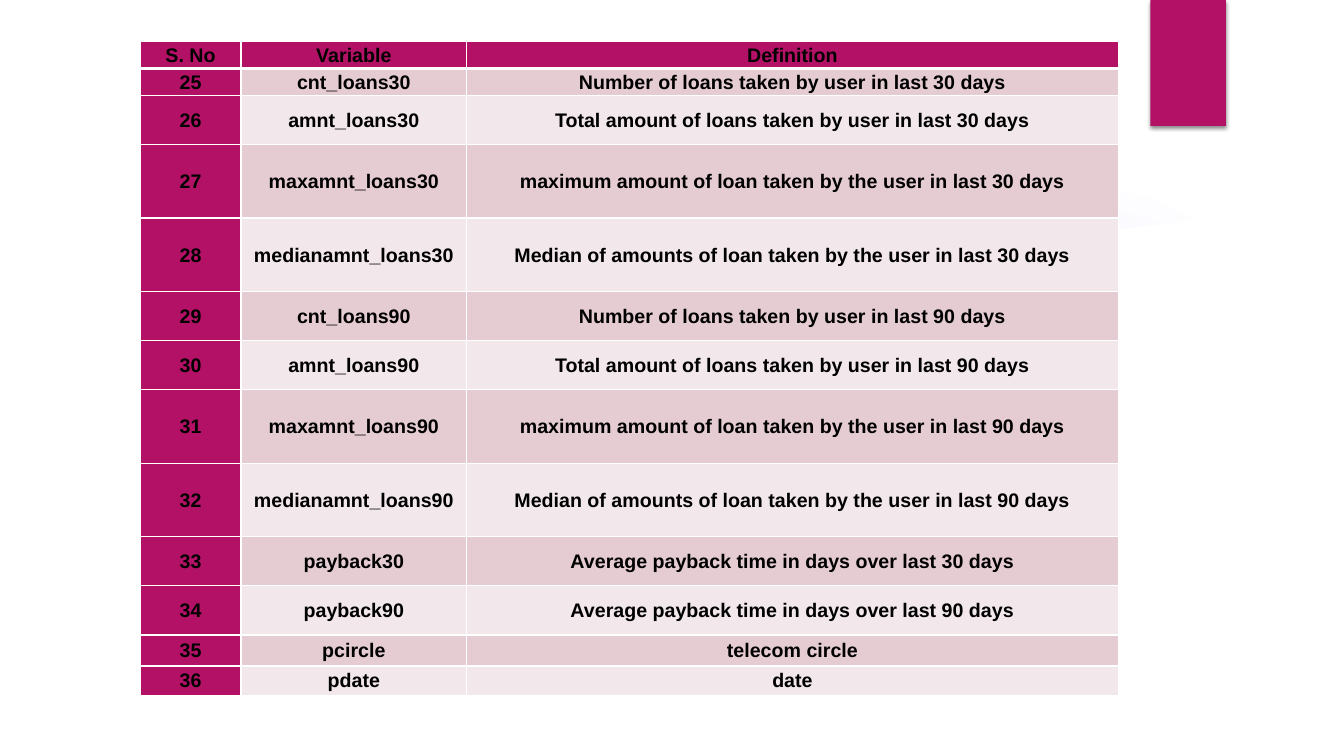
import pptx
import pptx.util
import pptx.oxml
import pptx.dml.color
import pptx.enum.shapes
import pptx.enum.text

Inches = pptx.util.Inches
RGB = pptx.dml.color.RGBColor
SHAPE = pptx.enum.shapes.MSO_SHAPE
PINK = RGB(0xB3, 0x11, 0x66)
ROSE = RGB(0xE5, 0xCC, 0xD3)
PALE = RGB(0xF2, 0xE7, 0xEA)
WHITE = RGB(0xFF, 0xFF, 0xFF)
BLACK = RGB(0, 0, 0)
URI = "http://schemas.openxmlformats.org/drawingml/2006/main"
NS = f'xmlns:a="{URI}"'


def paint(shape, color):
    """Plain fill without line or shadow."""
    shape.shadow.inherit = False
    shape.fill.solid()
    shape.fill.fore_color.rgb = color
    shape.line.fill.background()


def border(cell, sides):
    """Add white lines, given as side and width in points."""
    props = cell._tc.get_or_add_tcPr()
    for place, (side, width) in enumerate(sides):
        props.insert(place, pptx.oxml.parse_xml(
            f'<a:ln{side} {NS} w="{pptx.util.Pt(width)}"><a:solidFill>'
            f'<a:srgbClr val="FFFFFF"/></a:solidFill></a:ln{side}>'))


deck = pptx.Presentation()
deck.slide_width = Inches(13.33)
deck.slide_height = Inches(7.5)
slide = deck.slides.add_slide(deck.slide_layouts[6])

# Round glow that fades out to its edge
glow = slide.shapes.add_shape(SHAPE.OVAL, Inches(9.41), Inches(1.83),
                              Inches(3.08), Inches(3.08))
paint(glow, WHITE)
stops = "".join(
    f'<a:gs pos="{pos}000"><a:srgbClr val="9B6BF2"><a:alpha val="{alpha}000"/>'
    '</a:srgbClr></a:gs>' for pos, alpha in ((0, 7), (36, 6), (69, 0)))
solid = glow._element.spPr.find(f"{{{URI}}}solidFill")
solid.getparent().replace(solid, pptx.oxml.parse_xml(
    f'<a:gradFill {NS} rotWithShape="1"><a:gsLst>{stops}</a:gsLst>'
    '<a:path path="circle"><a:fillToRect l="50000" t="50000" r="50000" b="50000"/>'
    '</a:path></a:gradFill>'))

# Light band and white panel over the glow
band = [(9.34, 2.5), (10.6, 2.45), (11.8, 2.31), (12.89, 2.14), (12.83, 1.66),
        (12.25, 1.85), (11.67, 2), (11.09, 2.14), (10.53, 2.25), (9.99, 2.34),
        (9.3, 2.43)]
panel = [(0.5, 2.04), (0.5, 7), (12.84, 7), (12.84, 2.04), (12, 2.17),
         (11.16, 2.27), (10.32, 2.35), (9.49, 2.41), (8.67, 2.45), (7.86, 2.47),
         (7.08, 2.48), (6.32, 2.47), (5.59, 2.46), (4.88, 2.43), (4.01, 2.38),
         (3.21, 2.33), (2.49, 2.27), (1.87, 2.21), (1.35, 2.15), (0.94, 2.1)]
for points, alpha in ((band, 20), (panel, 100)):
    start, *rest = [(Inches(x), Inches(y)) for x, y in points]
    path = slide.shapes.build_freeform(*start, scale=1.0)
    path.add_line_segments(rest)
    cover = path.convert_to_shape()
    paint(cover, WHITE)
    color = cover._element.spPr.find(f"{{{URI}}}solidFill")[0]
    color.append(pptx.oxml.parse_xml(f'<a:alpha {NS} val="{alpha}000"/>'))

# Corner tab with a soft shadow
tab = slide.shapes.add_shape(SHAPE.RECTANGLE, Inches(11.41), 0,
                             Inches(0.75), Inches(1.25))
paint(tab, PINK)
tab._element.spPr.find(f"{{{URI}}}effectLst").append(pptx.oxml.parse_xml(
    f'<a:outerShdw {NS} blurRad="38100" dist="25400" dir="5400000" rotWithShape="0">'
    '<a:srgbClr val="000000"><a:alpha val="45000"/></a:srgbClr></a:outerShdw>'))

# Table text: variable, definition and relative row height
rows = [
    ("cnt_loans30", "Number of loans taken by user in last 30 days", 0.27),
    ("amnt_loans30", "Total amount of loans taken by user in last 30 days", 0.49),
    ("maxamnt_loans30", "maximum amount of loan taken by the user in last 30 days", 0.73),
    ("medianamnt_loans30", "Median of amounts of loan taken by the user in last 30 days", 0.73),
    ("cnt_loans90", "Number of loans taken by user in last 90 days", 0.49),
    ("amnt_loans90", "Total amount of loans taken by user in last 90 days", 0.49),
    ("maxamnt_loans90", "maximum amount of loan taken by the user in last 90 days", 0.73),
    ("medianamnt_loans90", "Median of amounts of loan taken by the user in last 90 days", 0.73),
    ("payback30", "Average payback time in days over last 30 days", 0.49),
    ("payback90", "Average payback time in days over last 90 days", 0.49),
    ("pcircle", "telecom circle", 0.31),
    ("pdate", "date", 0.29),
]
lines = [("S. No", "Variable", "Definition", 0.27)]
lines += [(str(num), *row) for num, row in enumerate(rows, 25)]

# Table grid, with rows scaled to the full height
tall = 6.49
scale = tall / sum(line[-1] for line in lines)
table = slide.shapes.add_table(len(lines), 3, Inches(1.39), Inches(0.41),
                               Inches(9.7), Inches(tall)).table
for col, width in zip(table.columns, (1, 2.24, 6.46)):
    col.width = Inches(width)

# Cells
for r, (*texts, height) in enumerate(lines):
    table.rows[r].height = Inches(height * scale)
    for c, text in enumerate(texts):
        cell = table.cell(r, c)
        cell.margin_left = cell.margin_right = cell.margin_top = Inches(0.01)
        cell.margin_bottom = 0
        cell.vertical_anchor = pptx.enum.text.MSO_ANCHOR.MIDDLE
        cell.fill.solid()
        if r == 0 or c == 0:
            cell.fill.fore_color.rgb = PINK
        else:
            cell.fill.fore_color.rgb = ROSE if r % 2 else PALE
        border(cell, [("L", 1), ("R", 1), ("T", 3 if r == 1 else 1),
                      ("B", 3 if r == 0 else 1)])
        cell.text_frame.text = text
        para = cell.text_frame.paragraphs[0]
        para.alignment = pptx.enum.text.PP_ALIGN.CENTER
        font = para.runs[0].font
        font.name = "Arial"
        font.size = pptx.util.Pt(14)
        font.bold = True
        font.color.rgb = BLACK

deck.save("out.pptx")
